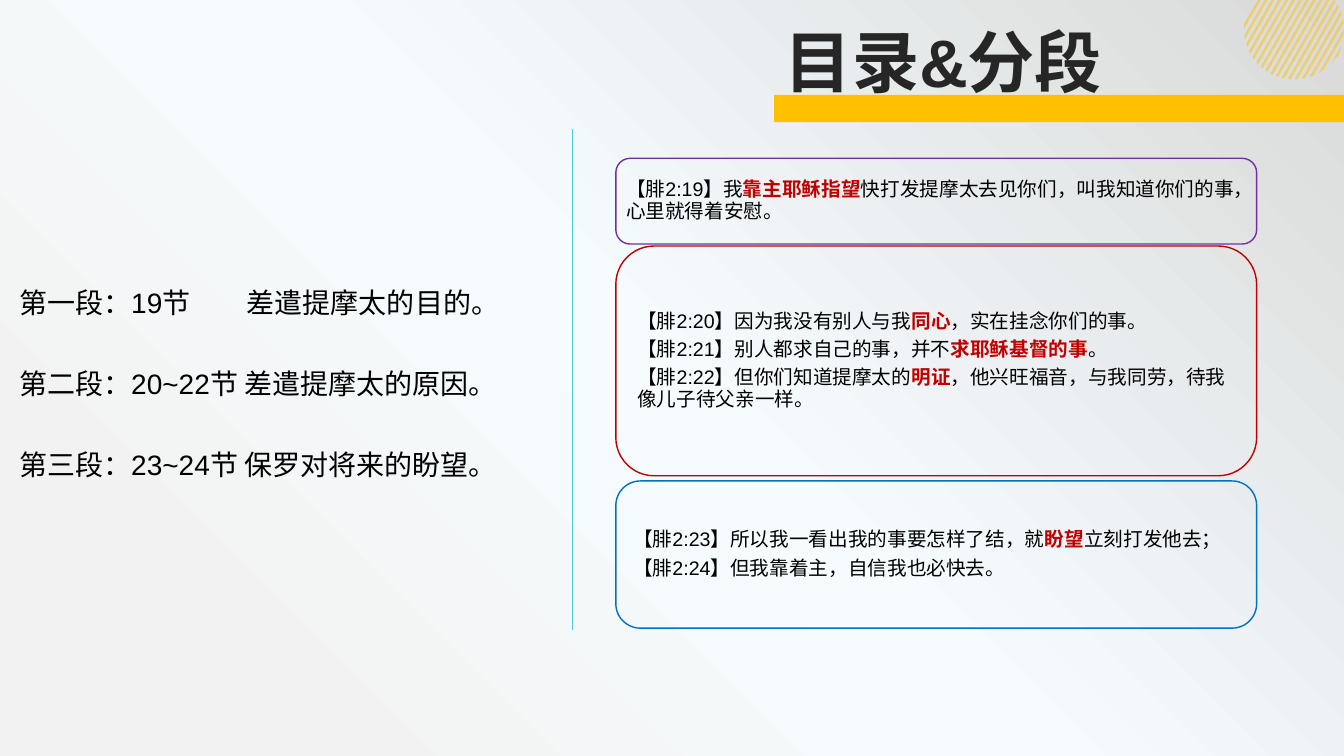
import math

import lxml.etree
import pptx
import pptx.dml.color
import pptx.enum.shapes
import pptx.enum.text
import pptx.oxml
import pptx.oxml.ns
import pptx.util

Cm = pptx.util.Cm
Pt = pptx.util.Pt
qn = pptx.oxml.ns.qn
KIND = pptx.enum.shapes.MSO_SHAPE
WIDE, HIGH = 33.87, 19.05
HUES = {
    "gold": "FFC000", "dark": "262626", "black": "000000", "red": "C00000",
    "plum": "7030A0", "blue": "0070C0", "sky": "4CC5F0",
    "pale": "F2F2F2", "ice": "F6FCFE", "grey": "D9D9D9",
}
PARTS = [
    "第一段：19节\t差遣提摩太的目的。",
    "第二段：20~22节 差遣提摩太的原因。",
    "第三段：23~24节 保罗对将来的盼望。",
]
CARDS = [
    ("plum", 3.99, 2.16, 0.15, [
        ("【腓2:19】我", "靠主耶稣指望",
         "快打发提摩太去见你们，叫我知道你们的事，心里就得着安慰。"),
    ]),
    ("red", 6.2, 5.79, 0.25, [
        ("【腓2:20】因为我没有别人与我", "同心", "，实在挂念你们的事。"),
        ("【腓2:21】别人都求自己的事，并不", "求耶稣基督的事", "。"),
        ("【腓2:22】但你们知道提摩太的", "明证",
         "，他兴旺福音，与我同劳，待我像儿子待父亲一样。"),
    ]),
    ("blue", 12.12, 3.71, 0.25, [
        ("【腓2:23】所以我一看出我的事要怎样了结，就", "盼望", "立刻打发他去；"),
        ("【腓2:24】但我靠着主，自信我也必快去。",),
    ]),
]


def tint(name):
    """Return the named colour."""
    return pptx.dml.color.RGBColor.from_string(HUES[name])


def paint(shape, fill=None, line=None):
    """Set fill and outline of a shape and drop its shadow."""
    shape.shadow.inherit = False
    if fill:
        shape.fill.solid()
        shape.fill.fore_color.rgb = tint(fill)
    else:
        shape.fill.background()
    if line:
        shape.line.color.rgb = tint(line)
        shape.line.width = Pt(1)
    else:
        shape.line.fill.background()


def write(para, text, size, hue="black", bold=False):
    """Add one run to a paragraph."""
    run = para.add_run()
    run.text = text
    run.font.name = "Arial"
    run.font.size = Pt(size)
    run.font.bold = bold
    run.font.color.rgb = tint(hue)


def frame(slide, box):
    """Add a wrapping text box and return its frame."""
    body = slide.shapes.add_textbox(*map(Cm, box)).text_frame
    body.word_wrap = True
    return body


def line_up(body, count):
    """Return the given number of paragraphs in a frame."""
    return [body.paragraphs[0]] + [body.add_paragraph() for _ in range(count - 1)]


def backdrop(slide):
    """Fill the background with a round gradient from the lower left."""
    slide.background.fill.solid()
    holder = slide.element.find(".//" + qn("p:bgPr"))
    stops = [(15, "pale", 100), (50, "ice", 27), (100, "grey", 100)]
    marks = "".join(
        f'<a:gs pos="{at * 1000}"><a:srgbClr val="{HUES[hue]}">'
        f'<a:alpha val="{alpha * 1000}"/></a:srgbClr></a:gs>'
        for at, hue, alpha in stops)
    grad = pptx.oxml.parse_xml(
        '<a:gradFill xmlns:a="http://schemas.openxmlformats.org/drawingml/2006/main"'
        f' rotWithShape="1"><a:gsLst>{marks}</a:gsLst><a:path path="circle">'
        '<a:fillToRect t="100000" r="100000"/></a:path></a:gradFill>')
    holder.replace(holder[0], grad)


def chord(foot, mid_x, mid_y, radius):
    """Return both ends of a slanted chord, cut off at the slide top."""
    slope = math.radians(60)
    gap = (foot - mid_x) * math.sin(slope) - mid_y * math.cos(slope)
    half = math.sqrt(max(0, radius ** 2 - gap ** 2))
    base = mid_y + gap * math.cos(slope)
    rows = [max(0, base + side * half * math.sin(slope)) for side in (-1, 1)]
    return [(Cm(foot - row / math.tan(slope)), Cm(row)) for row in rows]


def stripes(slide, box, count=17):
    """Draw a disc of slanted half-clear stripes in a box."""
    left, top, width, height = box
    disc = (left + width / 2, top + height / 2, width / 2)
    step = 2.77 / (count - 1)
    for rank in range(count):
        foot = left + 0.35 + rank * step
        near, far = chord(foot, *disc), chord(foot + 0.07, *disc)
        pen = slide.shapes.build_freeform(*near[0], scale=1.0)
        pen.add_line_segments([far[0], far[1], near[1]], close=True)
        band = pen.convert_to_shape()
        paint(band, "gold")
        shade = band.element.spPr.find(".//" + qn("a:srgbClr"))
        lxml.etree.SubElement(shade, qn("a:alpha")).set("val", "50000")


def header(slide, box):
    """Place the title above its gold bar."""
    left, top, width, height = box
    bar = slide.shapes.add_shape(
        KIND.RECTANGLE, Cm(left), Cm(top + height - 0.69), Cm(width), Cm(0.69))
    paint(bar, "gold")
    body = frame(slide, (left + 0.02, top, 11.68, 2.31))
    write(body.paragraphs[0], "目录&分段", 48, "dark", True)


def outline(slide, box):
    """List the sections of the chapter."""
    paras = line_up(frame(slide, box), len(PARTS))
    for rank, (para, text) in enumerate(zip(paras, PARTS)):
        tabs = lxml.etree.SubElement(para._p.get_or_add_pPr(), qn("a:tabLst"))
        stop = lxml.etree.SubElement(tabs, qn("a:tab"))
        stop.set("pos", str(Cm(5.74)))
        stop.set("algn", "l")
        para.line_spacing = 1.2
        if rank:
            para.space_before = Pt(29)
        write(para, text, 20)


def card(slide, box, hue, inset, verses):
    """Place one rounded frame with its verses."""
    left, top, width, height = box
    edge = slide.shapes.add_shape(KIND.ROUNDED_RECTANGLE, *map(Cm, box))
    paint(edge, line=hue)
    pad = height * 0.05
    body = frame(slide, (left + pad, top + pad, width - 2 * pad, height - 2 * pad))
    body.vertical_anchor = pptx.enum.text.MSO_ANCHOR.MIDDLE
    body.margin_left = body.margin_right = Cm(inset)
    body.margin_top = body.margin_bottom = Cm(inset)
    for para, verse in zip(line_up(body, len(verses)), verses):
        para.line_spacing = 0.9
        para.space_after = Pt(5)
        for rank, text in enumerate(verse):
            key = rank == 1
            write(para, text, 14, "red" if key else "black", key)


def rule(slide, box):
    """Draw the thin upright line between both halves."""
    left, top, _, height = box
    bar = slide.shapes.add_connector(
        pptx.enum.shapes.MSO_CONNECTOR.STRAIGHT,
        Cm(left), Cm(top), Cm(left), Cm(top + height))
    bar.line.color.rgb = tint("sky")
    bar.line.width = Pt(0.5)
    lxml.etree.SubElement(bar.element.spPr, qn("a:effectLst"))


def main():
    """Build the slide and save it."""
    deck = pptx.Presentation()
    deck.slide_width, deck.slide_height = Cm(WIDE), Cm(HIGH)
    slide = deck.slides.add_slide(deck.slide_layouts[6])
    backdrop(slide)
    stripes(slide, (31.35, -0.52, 2.52, 2.52))
    header(slide, (19.51, 0.38, WIDE - 19.51, 2.7))
    outline(slide, (0.23, 6.91, 16.15, 5.33))
    for hue, top, height, inset, verses in CARDS:
        card(slide, (15.52, top, 16.15, height), hue, inset, verses)
    rule(slide, (14.43, 3.25, 0, 12.62))
    deck.save("out.pptx")


if __name__ == "__main__":
    main()
